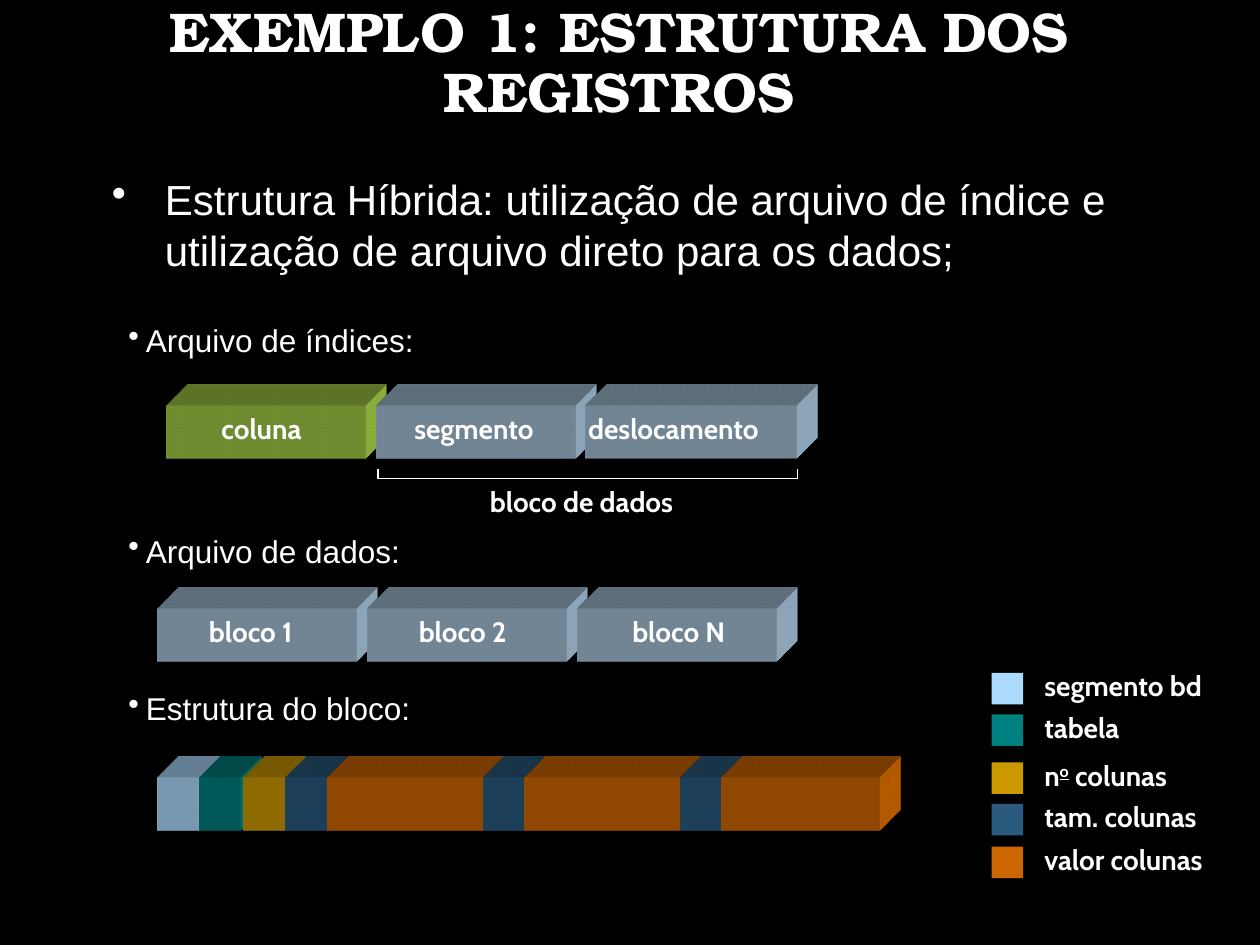
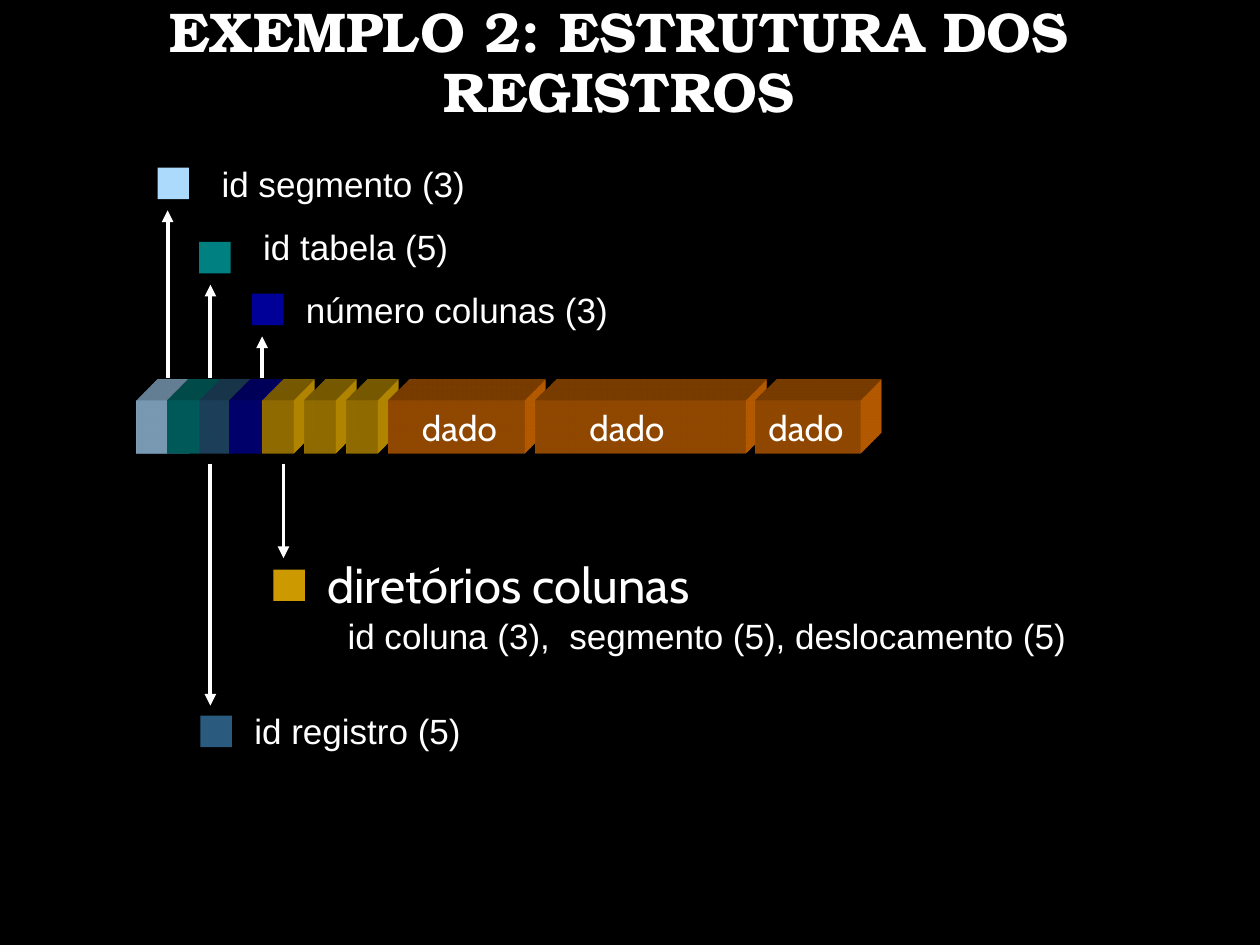
from pptx import Presentation
from pptx.dml.color import RGBColor
from pptx.enum.shapes import MSO_CONNECTOR, MSO_SHAPE
from pptx.enum.text import MSO_ANCHOR, PP_ALIGN
from pptx.oxml import parse_xml
from pptx.oxml.ns import nsdecls
from pptx.util import Inches, Pt

WHITE, BLACK = "FFFFFF", "000000"
SKY, TEAL, GOLD = "ABDAFC", "008080", "CC9900"
NAVY, ORANGE, ROYAL = "2A5B7F", "CC6600", "000099"
GREEN, STEEL = "9EC544", "A0BCD3"

TITLE = {"name": "TeX Gyre Bonum", "size": Pt(32), "bold": True}
TOPIC = {"name": "Arial", "size": Pt(24)}
SUBTOPIC = {"name": "Arial", "size": Pt(18)}
FIELD = {"name": "Arial", "size": Pt(20)}
LABEL = {"name": "Cabin", "size": Pt(16), "bold": True}
HEADING = {"name": "Cabin", "size": Pt(28)}
DATA = {"name": "Cabin", "size": Pt(20)}
BLOCK_HEIGHT = 0.42
MARKER = 0.25


def paint(color_owner, color):
    color_owner.solid()
    color_owner.fore_color.rgb = RGBColor.from_string(color)


def format_run(run, font_format):
    for attribute, value in font_format.items():
        setattr(run.font, attribute, value)
    paint(run.font.fill, WHITE)


def add_text(slide, left, top, width, height, text, font_format, wrap=False, **spacing):
    frame = slide.shapes.add_textbox(*map(Inches, (left, top, width, height))).text_frame
    frame.word_wrap = wrap
    paragraph = frame.paragraphs[0]
    for attribute, value in spacing.items():
        setattr(paragraph, attribute, value)
    run = paragraph.add_run()
    run.text = text
    format_run(run, font_format)
    return paragraph


def add_bullet(slide, left, top, height, text, font_format, indent):
    paragraph = add_text(slide, left, top, 8.42, height, text, font_format,
                         wrap=True, space_before=Pt(2))
    properties = paragraph._p.get_or_add_pPr()
    properties.set("marL", str(Inches(indent)))
    properties.set("indent", str(-Inches(indent)))
    properties.append(parse_xml(f'<a:buChar {nsdecls("a")} char="•"/>'))


def add_field(slide, left, top, text):
    add_text(slide, left, top, 8.08, 0.33, text, FIELD, wrap=True,
             line_spacing=0.7, space_before=Pt(2))


def add_rectangle(slide, left, top, width, height, color):
    rectangle = slide.shapes.add_shape(MSO_SHAPE.RECTANGLE,
                                       *map(Inches, (left, top, width, height)))
    rectangle.shadow.inherit = False
    paint(rectangle.fill, color)
    rectangle.line.fill.background()
    return rectangle


def add_marker(slide, left, top, color):
    add_rectangle(slide, left, top, MARKER, MARKER, color)


def add_block(slide, left, top, width, color):
    block = add_rectangle(slide, left, top, width, BLOCK_HEIGHT, color)
    properties = block._element.spPr
    properties.append(parse_xml(
        f'<a:scene3d {nsdecls("a")}><a:camera prst="legacyObliqueTopRight"/>'
        '<a:lightRig rig="legacyFlat3" dir="b"/></a:scene3d>'))
    properties.append(parse_xml(
        f'<a:sp3d {nsdecls("a")} extrusionH="430200" prstMaterial="legacyMatte">'
        '<a:bevelT w="13500" h="13500" prst="angle"/>'
        '<a:bevelB w="13500" h="13500" prst="angle"/>'
        f'<a:extrusionClr><a:srgbClr val="{color}"/></a:extrusionClr></a:sp3d>'))


def add_line(slide, start, end, weight, arrow=False):
    line = slide.shapes.add_connector(MSO_CONNECTOR.STRAIGHT,
                                      *map(Inches, (*start, *end)))
    paint(line.line.fill, WHITE)
    line.line.width = Pt(weight)
    if arrow:
        line.line._get_or_add_ln().append(
            parse_xml(f'<a:tailEnd {nsdecls("a")} type="triangle"/>'))
    line._element.spPr.append(parse_xml(f'<a:effectLst {nsdecls("a")}/>'))


def add_titled_slide(deck, text):
    slide = deck.slides.add_slide(deck.slide_layouts[5])
    title = slide.shapes.title
    box = {"left": 0.35, "top": -0.03, "width": 9.13, "height": 1.08}
    for attribute, value in box.items():
        setattr(title, attribute, Inches(value))
    title.text_frame.vertical_anchor = MSO_ANCHOR.MIDDLE
    paragraph = title.text_frame.paragraphs[0]
    paragraph.alignment = PP_ALIGN.CENTER
    paragraph.line_spacing = 0.9
    run = paragraph.add_run()
    run.text = text
    format_run(run, TITLE)
    return slide


def draw_index_file(slide, left, top):
    fields = [("coluna", 0, 1.58, GREEN, 0.34, 0.94),
              ("segmento", 1.67, 1.58, STEEL, 1.87, 1.3),
              ("deslocamento", 3.33, 1.67, STEEL, 3.25, 1.76)]
    for _, offset, width, color, _, _ in fields:
        add_block(slide, left + offset, top, width, color)
    for name, _, _, _, offset, width in fields:
        add_text(slide, left + offset, top, width, 0.37, name, LABEL)
    start, end, base = left + 1.68, left + 5.01, top + 0.58
    add_line(slide, (start, base), (end, base), 0.75)
    for edge in (start, end):
        add_line(slide, (edge, base), (edge, base - 0.08), 0.75)
    add_text(slide, left + 2.47, base, 1.87, 0.37, "bloco de dados", LABEL)


def draw_data_file(slide, left, top):
    blocks = [("bloco 1", 0.31, 1.01), ("bloco 2", 0.31, 1.01), ("bloco N", 0.34, 1.04)]
    pitch = 1.665
    for index in range(len(blocks)):
        add_block(slide, left + index * pitch, top, 1.58, STEEL)
    for index, (name, inset, width) in enumerate(blocks):
        add_text(slide, left + index * pitch + inset, top, width, 0.37, name, LABEL)


def draw_block_structure(slide, left, top):
    for offset, color in [(0, SKY), (0.33, TEAL), (0.68, GOLD)]:
        add_block(slide, left + offset, top, 0.33, color)
    for index in range(3):
        column = left + 1.02 + index * 1.565
        add_block(slide, column, top, 0.33, NAVY)
        add_block(slide, column + 0.33, top, 1.25, ORANGE)


def draw_legend(slide, left, top):
    entries = [("segmento bd", 0, 1.65, SKY), ("tabela", 0.33, 0.9, TEAL),
               ("n", 0.71, 1.36, GOLD), ("tam. colunas", 1.04, 1.63, NAVY),
               ("valor colunas", 1.38, 1.69, ORANGE)]
    for name, offset, width, color in entries:
        add_marker(slide, left, top + offset, color)
        entry = add_text(slide, left + 0.32, top + offset - 0.08, width, 0.37, name, LABEL)
        if name == "n":
            ordinal, rest = entry.add_run(), entry.add_run()
            ordinal.text, rest.text = "o", " colunas"
            format_run(ordinal, {**LABEL, "underline": True})
            ordinal.font._element.set("baseline", "30000")
            format_run(rest, LABEL)


def draw_record(slide, left, top):
    blocks = [(0, 0.42, SKY), (0.25, 0.25, TEAL), (0.5, 0.25, NAVY), (0.74, 0.25, ROYAL)]
    blocks += [(1 + index * 0.335, 0.25, GOLD) for index in range(3)]
    for offset, width, color in blocks:
        add_block(slide, left + offset, top, width, color)
    for offset, width, inset in [(2, 1.08, 0.17), (3.17, 1.67, 0.33), (4.92, 0.83, 0)]:
        add_block(slide, left + offset, top, width, ORANGE)
        add_text(slide, left + offset + inset, top, 1, 0.43, "dado", DATA,
                 wrap=True, space_before=Pt(2))


def draw_header_fields(slide, left, top):
    fields = [("id segmento (3)", 0, 0, 0.41, 0, 0.08, SKY),
              ("id tabela (5)", 0.33, 0.59, 0.74, 0.5, 0.42, TEAL),
              ("número colunas (3)", 0.75, 1, 1.08, 1, 0.83, ROYAL)]
    for name, across, down, text_across, text_down, arrow_across, color in fields:
        add_marker(slide, left + across, top + down, color)
        add_field(slide, left + text_across, top + text_down, name)
        arrow = left + arrow_across
        add_line(slide, (arrow, top + 1.67), (arrow, top + down + 0.34), 2.25, arrow=True)


def draw_directory_fields(slide, left, top):
    for across, end in [(0.66, 0.75), (0.08, 1.92)]:
        add_line(slide, (left + across, top), (left + across, top + end), 2.25, arrow=True)
    add_marker(slide, left + 0.58, top + 0.84, GOLD)
    add_text(slide, left + 0.91, top + 0.67, 3.22, 0.57, "diretórios colunas", HEADING)
    add_field(slide, left + 1.07, top + 1.24,
              "id coluna (3),  segmento (5), deslocamento (5)")
    add_marker(slide, left, top + 2, NAVY)
    add_field(slide, left + 0.33, top + 1.99, "id registro (5)")


def build_hybrid_structure(deck):
    slide = add_titled_slide(deck, "EXEMPLO 1: ESTRUTURA DOS REGISTROS")
    add_bullet(slide, 0.79, 1.33, 1.34,
               "Estrutura Híbrida: utilização de arquivo de índice e "
               "utilização de arquivo direto para os dados;", TOPIC, 0.42)
    for top, text in [(2.5, "Arquivo de índices:"), (4.17, "Arquivo de dados:"),
                      (5.42, "Estrutura do bloco:")]:
        add_bullet(slide, 0.92, top, 0.5, text, SUBTOPIC, 0.14)
    draw_index_file(slide, 1.32, 3.22)
    draw_data_file(slide, 1.25, 4.83)
    draw_block_structure(slide, 1.25, 6.17)
    draw_legend(slide, 7.87, 5.34)


def build_record_structure(deck):
    slide = add_titled_slide(deck, "EXEMPLO 2: ESTRUTURA DOS REGISTROS")
    draw_record(slide, 1.08, 3.18)
    draw_header_fields(slide, 1.25, 1.33)
    draw_directory_fields(slide, 1.59, 3.68)


def main():
    deck = Presentation()
    deck.slide_width, deck.slide_height = Inches(10), Inches(7.5)
    paint(deck.slide_master.background.fill, BLACK)
    build_hybrid_structure(deck)
    build_record_structure(deck)
    deck.save("out.pptx")


if __name__ == "__main__":
    main()
